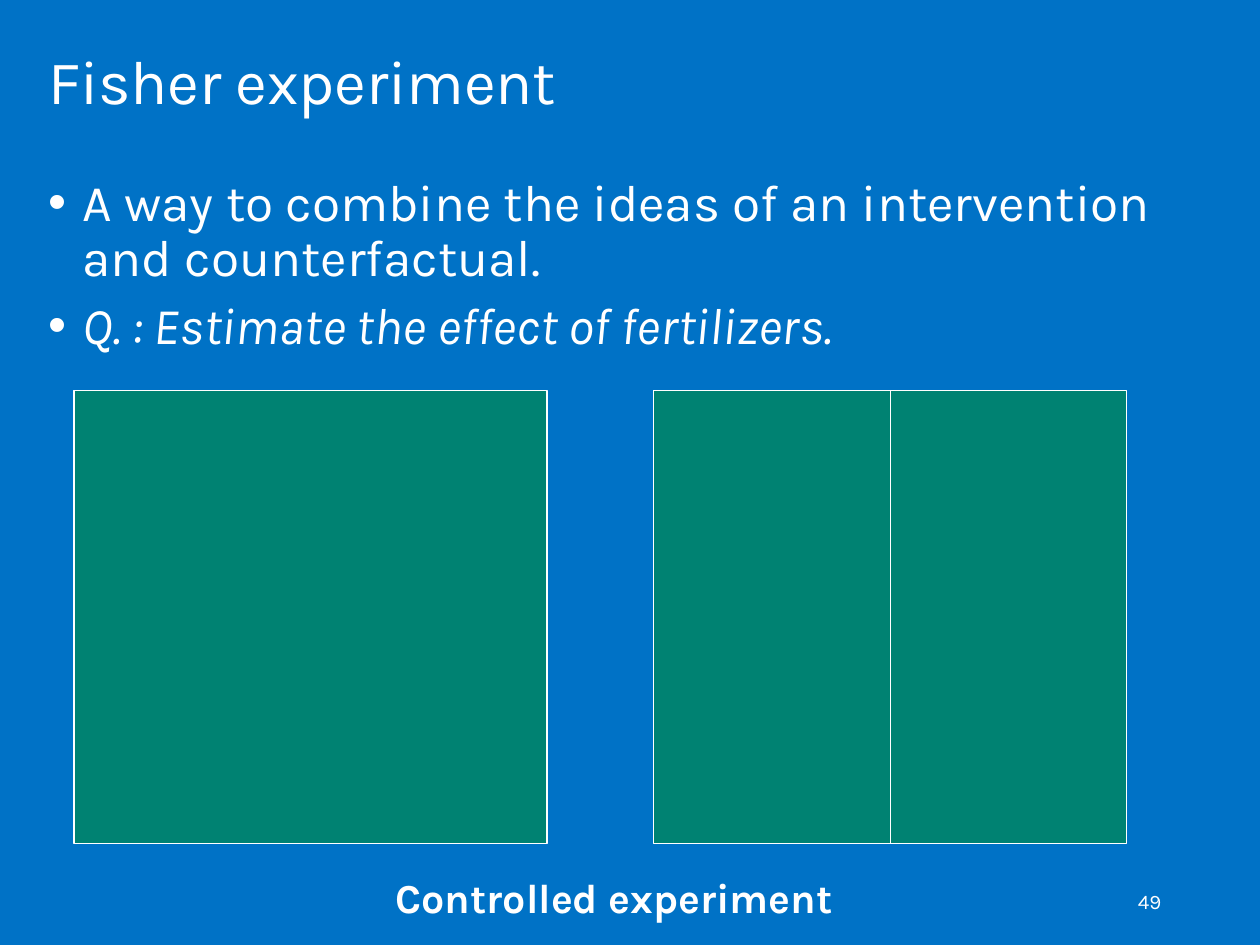
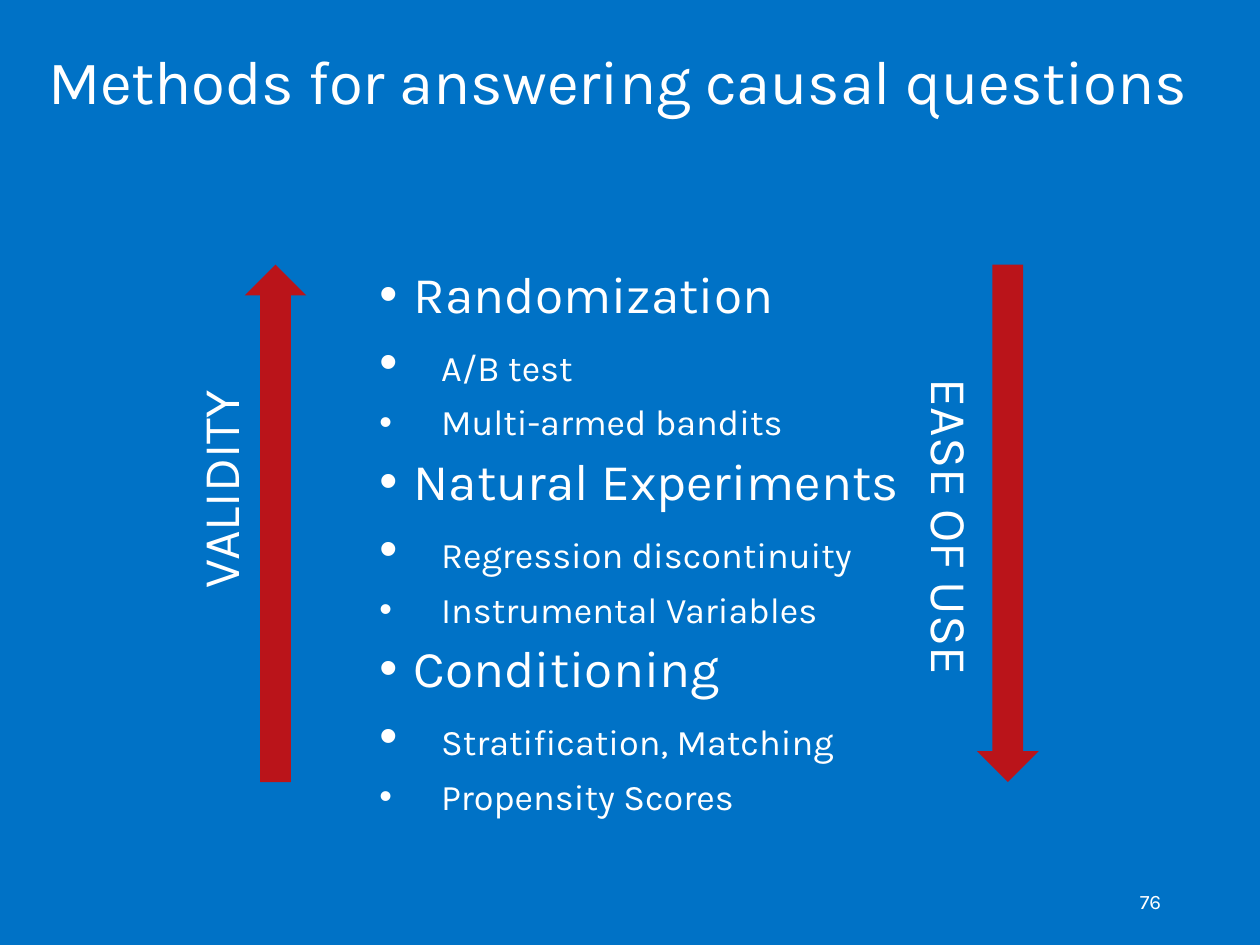
"""Build two slides on causal methods: the Fisher experiment and an overview of methods."""
from dataclasses import dataclass

from pptx import Presentation
from pptx.dml.color import RGBColor as Rgb
from pptx.enum.shapes import MSO_CONNECTOR as Link, MSO_SHAPE as Preset
from pptx.enum.text import MSO_ANCHOR as Anchor, MSO_AUTO_SIZE as AutoSize, PP_ALIGN as Align
from pptx.oxml.ns import qn
from pptx.util import Cm, Pt


@dataclass(frozen=True)
class Theme:
    font: str = "Karla"
    background: Rgb = Rgb(0x00, 0x72, 0xC6)
    ink: Rgb = Rgb(0xFF, 0xFF, 0xFF)
    field: Rgb = Rgb(0x00, 0x82, 0x72)
    arrow: Rgb = Rgb(0xBA, 0x14, 0x1A)
    title: int = 36
    topic: int = 30
    caption: int = 24
    method: int = 21
    number: int = 12
    hairline: float = 0.75


theme = Theme()


def write(shape, lines, inset, align=Align.LEFT, anchor=Anchor.TOP,
          spacing=0.9, before=0, after=0, wrap=True, bulleted=False):
    frame = shape.text_frame
    frame.auto_size = AutoSize.NONE
    frame.word_wrap = wrap
    frame.vertical_anchor = anchor
    frame.margin_left = frame.margin_right = Cm(inset[0])
    frame.margin_top = frame.margin_bottom = Cm(inset[1])
    for index, runs in enumerate(lines):
        paragraph = frame.add_paragraph() if index else frame.paragraphs[0]
        paragraph.alignment = align
        paragraph.line_spacing = spacing
        paragraph.space_before = Pt(before if index else 0)
        paragraph.space_after = Pt(after)
        if bulleted:
            properties = paragraph._p.get_or_add_pPr()
            properties.set("marL", str(Cm(0.71)))
            properties.set("indent", str(-Cm(0.71)))
        for text, size, style in runs:
            run = paragraph.add_run()
            run.text = text
            run.font.name = theme.font
            run.font.size = Pt(size)
            run.font.color.rgb = theme.ink
            run.font.bold = style == "bold"
            run.font.italic = style == "italic"
    return frame


def add_block(slide, preset, box, fill, outline=None):
    block = slide.shapes.add_shape(preset, *map(Cm, box))
    block.shadow.inherit = False
    block.fill.solid()
    block.fill.fore_color.rgb = fill
    if outline:
        block.line.color.rgb = outline
        block.line.width = Pt(theme.hairline)
    else:
        block.line.fill.background()
    return block


fisher_points = [
    [("A way to combine the ideas of an intervention and counterfactual.", theme.topic, "")],
    [("Q. : Estimate the effect of fertilizers.", theme.topic, "italic")],
]
method_points = []
for topic, first_method, second_method in [
    ("Randomization", "A/B test", "Multi-armed bandits"),
    ("Natural Experiments", "Regression discontinuity", "Instrumental Variables"),
    ("Conditioning", "Stratification, Matching", "Propensity Scores"),
]:
    method_points += [
        [(topic, theme.topic, "")],
        [("\t", theme.topic, ""), (first_method, theme.method, "")],
        [("\t" + second_method, theme.method, "")],
    ]

deck = Presentation()
deck.slide_width, deck.slide_height = Cm(25.91), Cm(19.43)
backdrop = deck.slide_master.background.fill
backdrop.solid()
backdrop.fore_color.rgb = theme.background

slides = []
for heading, number, points, points_box in [
    ("Fisher experiment", "49", fisher_points, (0.58, 3.38, 24.77, 4.24)),
    ("Methods for answering causal questions", "76", method_points, (7.39, 5.28, 11.91, 11.68)),
]:
    slide = deck.slides.add_slide(deck.slide_layouts[1])
    slides.append(slide)
    title, body = slide.shapes.title, slide.placeholders[1]
    for holder, box in [(title, (0.58, 0.81, 24.77, 2.54)), (body, points_box)]:
        holder.left, holder.top, holder.width, holder.height = map(Cm, box)
    title_frame = write(title, [[(heading, theme.title, "")]], (0.41, 0.25))
    title_frame.paragraphs[0].runs[0].font._element.set("spc", "-10")
    write(body, points, (0.41, 0.25), before=7.2, bulleted=True)
    page_number = slide.shapes.add_textbox(Cm(18.29), Cm(18.01), Cm(5.84), Cm(1.04))
    write(page_number, [[(number, theme.number, "")]], (0.25, 0.13),
          align=Align.RIGHT, anchor=Anchor.MIDDLE, spacing=1.0)

fisher, methods = slides

for field_left in (1.52, 13.44):
    field = add_block(fisher, Preset.RECTANGLE, (field_left, 8.03, 9.73, 9.32),
                      theme.field, theme.ink)
divider = fisher.shapes.add_connector(Link.STRAIGHT, 0, 0, 0, 0)
divider.begin_connect(field, 0)
divider.end_connect(field, 2)
divider.line.color.rgb = theme.ink
divider.line.width = Pt(theme.hairline)
divider_properties = divider._element.spPr
divider_properties.append(divider_properties.makeelement(qn("a:effectLst"), {}))
caption = fisher.shapes.add_textbox(Cm(7.62), Cm(17.65), Cm(12.95), Cm(1.75))
write(caption, [[("Controlled experiment", theme.caption, "bold")]], (0.51, 0.41), after=6)

for quality, arrow_left, label_left, label_height, turn in [
    ("EASE OF USE", 20.09, 18.52, 6.71, 0),
    ("VALIDITY", 5.03, 3.63, 4.9, 180),
]:
    arrow = add_block(methods, Preset.DOWN_ARROW, (arrow_left, 5.44, 1.27, 10.64), theme.arrow)
    label = methods.shapes.add_textbox(Cm(label_left), Cm(7.49), Cm(1.93), Cm(label_height))
    arrow.rotation = label.rotation = turn
    label_frame = write(label, [[(quality, theme.topic, "")]], (0.38, 0.3), after=4.5, wrap=False)
    label_frame._txBody.bodyPr.set("vert", "vert")

deck.save("out.pptx")
